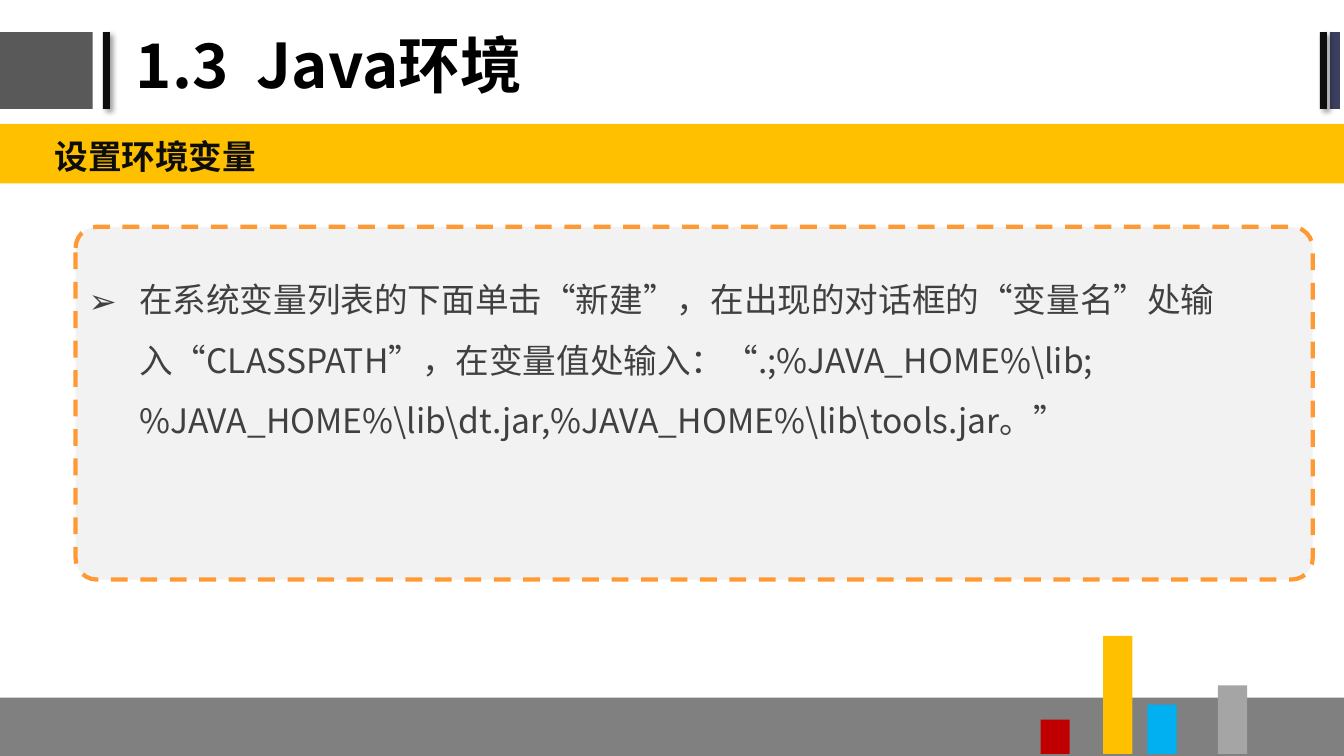
"""Build the slide on setting Java environment variables."""
from lxml.etree import SubElement
from pptx import Presentation
from pptx.dml.color import RGBColor
from pptx.enum.dml import MSO_LINE
from pptx.enum.shapes import MSO_SHAPE
from pptx.enum.text import MSO_ANCHOR
from pptx.oxml.ns import qn
from pptx.util import Inches, Pt

FONT = "Noto Sans CJK SC"
HEX = {
    "dark": "595959", "black": "000000", "ink": "0D0D0D", "navy": "3B3F60",
    "gold": "FFC000", "gray": "808080", "silver": "A5A5A5", "blue": "00B0F0",
    "red": "C00000", "pale": "F2F2F2", "orange": "FF9933", "text": "404040",
}

deck = Presentation()
deck.slide_width, deck.slide_height = Inches(13.33), Inches(7.5)
slide = deck.slides.add_slide(deck.slide_layouts[6])


def add_box(left, top, width, height, color, kind=MSO_SHAPE.RECTANGLE):
    box = slide.shapes.add_shape(
        kind, Inches(left), Inches(top), Inches(width), Inches(height))
    box.shadow.inherit = False
    box.fill.solid()
    box.fill.fore_color.rgb = RGBColor.from_string(HEX[color])
    box.line.fill.background()
    return box


def add_text(left, top, width, height, words, size, color, bold, space, inset):
    frame = slide.shapes.add_textbox(
        Inches(left), Inches(top), Inches(width), Inches(height)).text_frame
    frame.word_wrap = True
    frame.margin_left = frame.margin_right = Inches(inset[0])
    frame.margin_top = frame.margin_bottom = Inches(inset[1])
    frame.text = words
    para = frame.paragraphs[0]
    para.line_spacing = space
    run = para.runs[0]
    run.font.name = FONT
    run.font.size = Pt(size)
    run.font.bold = bold
    run.font.color.rgb = RGBColor.from_string(HEX[color])
    SubElement(run.font._element, qn("a:ea"), typeface=FONT)
    return frame


for left, width, color in [(-0.02, 0.94, "dark"), (1.02, 0.07, "ink"),
                           (13.19, 0.1, "navy"), (13.09, 0.07, "ink")]:
    bar = add_box(left, 0.32, width, 0.76, color)
    if color == "ink":
        effects = bar._element.spPr.find(qn("a:effectLst"))
        shade = SubElement(effects, qn("a:outerShdw"), blurRad=str(Pt(4)),
                           dist=str(Pt(3)), dir="2700000", algn="tl", rotWithShape="0")
        tone = SubElement(shade, qn("a:srgbClr"), val=HEX["black"])
        SubElement(tone, qn("a:alpha"), val="40000")

title = add_text(1.25, 0, 11.25, 1.35, "1.3  Java环境", 44, "black", True, 0.9, (0.1, 0.05))
title.vertical_anchor = MSO_ANCHOR.MIDDLE

add_box(0, 1.23, 13.33, 0.59, "gold")
add_text(0.41, 1.2, 3.91, 0.58, "设置环境变量", 24, "ink", True, 1.2, (0.13, 0.07))

add_box(0, 6.92, 13.33, 0.59, "gray")
for left, height, color in [(12.08, 0.68, "silver"), (11.38, 0.49, "blue"),
                            (10.94, 1.17, "gold"), (10.32, 0.34, "red")]:
    add_box(left, 7.48 - height, 0.29, height, color)

panel = add_box(0.75, 2.25, 12.27, 3.5, "pale", MSO_SHAPE.ROUNDED_RECTANGLE)
panel.adjustments[0] = 0.06
panel.line.color.rgb = RGBColor.from_string(HEX["orange"])
panel.line.width = Pt(3)
panel.line.dash_style = MSO_LINE.DASH

steps = add_text(
    0.75, 2.5, 12.27, 3.17,
    "在系统变量列表的下面单击“新建”，在出现的对话框的“变量名”处输入“CLASSPATH”，"
    "在变量值处输入：“.;%JAVA_HOME%\\lib; "
    "%JAVA_HOME%\\lib\\dt.jar,%JAVA_HOME%\\lib\\tools.jar。”",
    24, "text", False, 1.5, (0.13, 0.07))
props = steps.paragraphs[0]._p.get_or_add_pPr()
props.set("marL", str(Inches(0.5)))
props.set("indent", str(Inches(-0.5)))
SubElement(props, qn("a:buFont"), typeface=FONT)
SubElement(props, qn("a:buChar"), char="➢")

deck.save("out.pptx")
